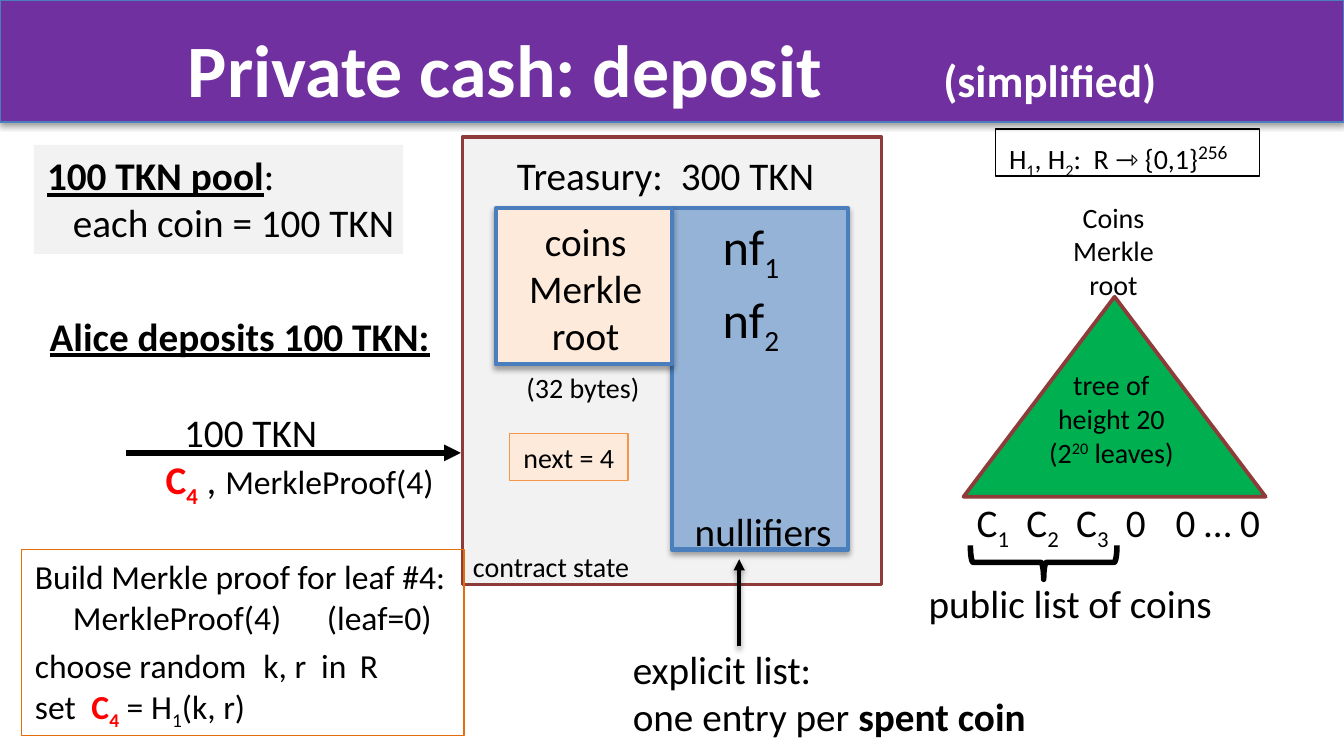
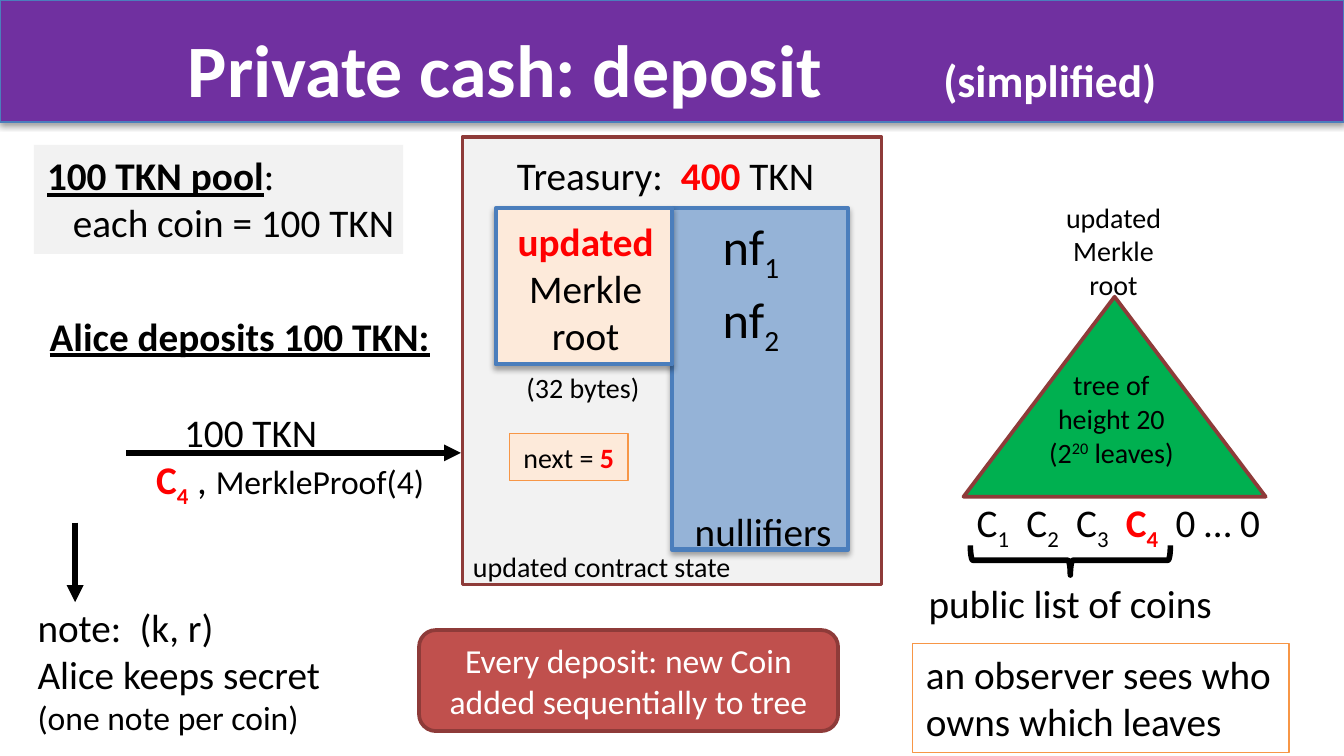
from dataclasses import dataclass

from lxml import etree
from pptx import Presentation
from pptx.dml.color import RGBColor
from pptx.enum.shapes import MSO_CONNECTOR, MSO_SHAPE
from pptx.enum.text import MSO_ANCHOR, PP_ALIGN
from pptx.oxml.ns import qn
from pptx.util import Cm, Pt

RECT, ROUNDED = MSO_SHAPE.RECTANGLE, MSO_SHAPE.ROUNDED_RECTANGLE
TRIANGLE, BRACE = MSO_SHAPE.ISOSCELES_TRIANGLE, MSO_SHAPE.LEFT_BRACE
STRAIGHT = MSO_CONNECTOR.STRAIGHT
LEFT, CENTER = PP_ALIGN.LEFT, PP_ALIGN.CENTER
TOP, MIDDLE = MSO_ANCHOR.TOP, MSO_ANCHOR.MIDDLE

FONT = "Calibri"
BLACK, WHITE, RED = "000000", "FFFFFF", "FF0000"
PURPLE, BLUE, SKY = "7030A0", "4B7EBC", "95B3D7"
GREY, PEACH, GREEN = "F2F2F2", "FDEADA", "00B050"
MAROON, BRICK, ORANGE, RUST = "8E3B39", "C0504D", "F79646", "E46C0A"
BASELINES = {"_": "-25000", "^": "30000"}


@dataclass
class Para:
    """Runs are strings or (text, flags[, size]) tuples.
    Flags: b bold, u underline, r red, _ subscript, ^ superscript."""
    runs: list
    indent: float = 0
    tabs: tuple = ()
    before: float = 0


# ---------- Content ----------

C4 = [("C", "br"), ("4", "br_")]
TITLE = [Para([("Private cash: deposit\t", "b"), ("(simplified)", "b", 24.3)],
              tabs=(14.28,))]
POOL = [[("100 TKN pool", "bu"), ":"], Para(["each coin = 100 TKN"], indent=0.49)]
TREE = ["tree of", "height 20", ["(2", ("20", "^"), " leaves)"]]
LEAF_STEP = 0.94
LEAF_TABS = tuple(LEAF_STEP * n for n in range(1, 5))
FIRST_LEAVES = ["C", ("1", "_"), "\tC", ("2", "_"), "\tC", ("3", "_"), "\t"]

BEFORE = {
    "treasury": ["300"],
    "root": ["coins", "Merkle", "root"],
    "next": ["next = 4"],
    "state": "contract state",
    "coin_indent": 0.18,
    "tree_root": ["Coins", "Merkle", "root"],
    "leaves": ["0\t0 … 0"],
    "brace": (2.77, 0.64),
}
AFTER = {
    "treasury": [("400", "br")],
    "root": [[("updated", "br")], "Merkle", "root"],
    "next": ["next = ", ("5", "br")],
    "state": "updated contract state",
    "coin_indent": 0,
    "tree_root": ["updated", "Merkle", "root"],
    "leaves": C4 + ["\t0 … 0"],
    "brace": (3.78, 0.56),
}

PROOF_STEPS = [
    "Build Merkle proof for leaf #4:",
    Para(["\tMerkleProof(4)\t(leaf=0)"], tabs=(0.72, 5.52)),
    Para(["choose random\tk, r\tin\tR"], tabs=(4.32, 5.41, 6.14), before=4.5),
    Para(["set\t", *C4, " = H", ("1", "_"), "(k, r)"], tabs=(1.07,)),
]
HASHES = [Para(["H", ("1", "_"), ", H", ("2", "_"), ":\tR ⇾ {0,1}", ("256", "^", 18)],
               tabs=(1.6,))]
SPENT_LIST = ["explicit list:", ["one entry per ", ("spent coin", "b")]]
NOTE = [Para(["note:\t(k, r)"], tabs=(1.93,)), "Alice keeps secret",
        [("(one note per coin)", "", 18)]]
RULE = ["Every deposit: new Coin added sequentially to tree"]
OBSERVER = ["an observer sees who", "owns which leaves"]


# ---------- Drawing helpers ----------

def rgb(color):
    return RGBColor.from_string(color)


def add_shadow(part, alpha, distance):
    """Replace the theme effect with a soft shadow falling downwards."""
    effects = part._element.spPr.find(qn("a:effectLst"))
    shadow = etree.SubElement(effects, qn("a:outerShdw"), blurRad=str(Pt(3.1)),
                              dist=str(Pt(distance)), dir="5400000", rotWithShape="0")
    black = etree.SubElement(shadow, qn("a:srgbClr"), val=BLACK)
    etree.SubElement(black, qn("a:alpha"), val=str(alpha * 1000))


def write(shape, paragraphs, size, color=BLACK, align=LEFT, anchor=TOP):
    frame = shape.text_frame
    frame.word_wrap = True
    frame.vertical_anchor = anchor
    if align == CENTER:
        frame.margin_left = frame.margin_right = Cm(0.2)
    for number, content in enumerate(paragraphs):
        if isinstance(content, str):
            content = Para([content])
        elif isinstance(content, list):
            content = Para(content)
        paragraph = frame.add_paragraph() if number else frame.paragraphs[0]
        paragraph.alignment = align
        if content.before:
            paragraph.space_before = Pt(content.before)
        properties = paragraph._p.get_or_add_pPr()
        if content.indent:
            properties.set("marL", str(Cm(content.indent)))
        if content.tabs:
            stops = etree.SubElement(properties, qn("a:tabLst"))
            for stop in content.tabs:
                etree.SubElement(stops, qn("a:tab"), pos=str(Cm(stop)), algn="l")
        for item in content.runs:
            if isinstance(item, str):
                item = (item, "")
            words, flags, *own_size = item
            run = paragraph.add_run()
            run.text = words
            font = run.font
            font.name = FONT
            font.size = Pt(own_size[0] if own_size else size)
            font.bold = "b" in flags
            font.underline = "u" in flags
            font.color.rgb = rgb(RED if "r" in flags else color)
            for mark, offset in BASELINES.items():
                if mark in flags:
                    run._r.get_or_add_rPr().set("baseline", offset)


def add_text(slide, box, paragraphs, size=21, **style):
    label = slide.shapes.add_textbox(*map(Cm, box))
    write(label, paragraphs, size, **style)


def add_box(slide, box, fill=None, line=None, width=0.75, kind=RECT, shadow=False):
    shape = slide.shapes.add_shape(kind, *map(Cm, box))
    shape.shadow.inherit = False
    if fill:
        shape.fill.solid()
        shape.fill.fore_color.rgb = rgb(fill)
    else:
        shape.fill.background()
    if line:
        shape.line.color.rgb = rgb(line)
        shape.line.width = Pt(width)
    else:
        shape.line.fill.background()
    if shadow:
        add_shadow(shape, 35, 1.8)
    return shape


def add_arrow(slide, start, end, width=3, shadow=False):
    arrow = slide.shapes.add_connector(STRAIGHT, *map(Cm, start + end))
    arrow.line.color.rgb = rgb(BLACK)
    arrow.line.width = Pt(width)
    etree.SubElement(arrow.line._get_or_add_ln(), qn("a:tailEnd"), type="triangle")
    etree.SubElement(arrow._element.spPr, qn("a:effectLst"))
    if shadow:
        add_shadow(arrow, 38, 1.6)


def add_brace(slide, left, top, span, depth):
    """Brace lying below the leaves, pointing down."""
    shift = (span - depth) / 2
    brace = add_box(slide, (left + shift, top - shift, depth, span),
                    line=BLACK, width=3, kind=BRACE)
    brace.rotation = 270


# ---------- Parts both slides share ----------

def draw_contract(slide, state):
    add_box(slide, (8.74, 2.59, 7.92, 8.46), GREY, MAROON, 2)
    add_text(slide, (9.52, 2.74, 6.3, 1.14),
             [Para(["Treasury:\t", *state["treasury"], " TKN"], tabs=(3.1,))])

    # Nullifier column
    add_box(slide, (12.7, 3.94, 3.33, 6.45), SKY, BLUE, 2.25, shadow=True)
    for index in range(2):
        add_text(slide, (13.41, 3.94 + 1.39 * index, 1.9, 1.42),
                 [["nf", (str(index + 1), "_")]], 27)
    add_text(slide, (12.88, 9.47, 3.2, 1.14), ["nullifiers"])

    # Merkle root and next free leaf
    add_box(slide, (9.37, 3.94, 3.33, 2.95), PEACH, BLUE, 2.25, shadow=True)
    add_text(slide, (9.52, 3.99, 3.1, 2.95), state["root"], align=CENTER)
    add_text(slide, (9.7, 6.88, 2.75, 0.89), ["(32 bytes)"], 15)
    next_leaf = add_box(slide, (9.63, 8.2, 2.24, 0.89), PEACH, ORANGE)
    write(next_leaf, [state["next"]], 15, align=CENTER)
    add_text(slide, (8.69, 10.26, 5.41, 0.89), [state["state"]], 15)


def draw_deposit(slide, state):
    pool = add_box(slide, (0.64, 2.74, 6.98, 2.06), GREY)
    write(pool, POOL, 21)
    pool.text_frame.margin_right = Cm(0.1)
    add_text(slide, (0.69, 5.77, 7.9, 1.14), [[("Alice deposits 100 TKN:", "bu")]])
    add_arrow(slide, (2.39, 8.56), (8.71, 8.56))
    add_text(slide, (2.7, 7.59, 8.38, 2.06), [
        Para(["100 TKN"], indent=0.53),
        Para([*C4, " , ", ("MerkleProof(4)", "", 18)], indent=state["coin_indent"]),
    ])


def draw_tree(slide, state):
    add_box(slide, (18.21, 5.61, 5.71, 3.78), GREEN, MAROON, 2, TRIANGLE)
    add_text(slide, (19.69, 3.66, 2.71, 2.18), state["tree_root"], 15, align=CENTER)
    add_text(slide, (19.53, 6.83, 2.95, 2.18), TREE, 15, align=CENTER)
    add_text(slide, (18.21, 9.3, 6.1, 1.14),
             [Para(FIRST_LEAVES + state["leaves"], tabs=LEAF_TABS)])
    add_brace(slide, 18.34, 10.31, *state["brace"])
    add_text(slide, (17.3, 10.82, 5.92, 1.14), ["public list of coins"])


def add_deposit_slide(deck, state):
    slide = deck.slides.add_slide(deck.slide_layouts[6])
    add_box(slide, (0, 0, 25.4, 2.31), PURPLE, BLUE, shadow=True)
    add_text(slide, (3.3, 0.33, 20.8, 1.73), TITLE, 39.6, color=WHITE)
    draw_contract(slide, state)
    draw_deposit(slide, state)
    draw_tree(slide, state)
    return slide


def main():
    deck = Presentation()
    deck.slide_width, deck.slide_height = Cm(25.4), Cm(14.29)

    # Slide 1: Alice sends a coin
    slide = add_deposit_slide(deck, BEFORE)
    proof = add_box(slide, (0.41, 10.39, 8.36, 3.51), line=RUST)
    write(proof, PROOF_STEPS, 18)
    hashes = add_box(slide, (18.82, 2.44, 4.98, 0.89), line=BLACK)
    write(hashes, HASHES, 15)
    add_text(slide, (11.71, 12.07, 8.03, 2.06), SPENT_LIST)
    add_arrow(slide, (13.97, 12.22), (13.97, 10.57), 2, shadow=True)

    # Slide 2: the contract has been updated
    slide = add_deposit_slide(deck, AFTER)
    add_arrow(slide, (1.42, 9.88), (1.42, 11.38))
    add_text(slide, (0.46, 11.28, 5.92, 2.82), NOTE)
    rule = add_box(slide, (7.92, 11.91, 7.92, 1.91), BRICK, MAROON, 2, ROUNDED)
    write(rule, RULE, 18, WHITE, CENTER, MIDDLE)
    observer = add_box(slide, (17.25, 12.17, 7.11, 2.06), line=ORANGE)
    write(observer, OBSERVER, 21)

    deck.save("out.pptx")


if __name__ == "__main__":
    main()
